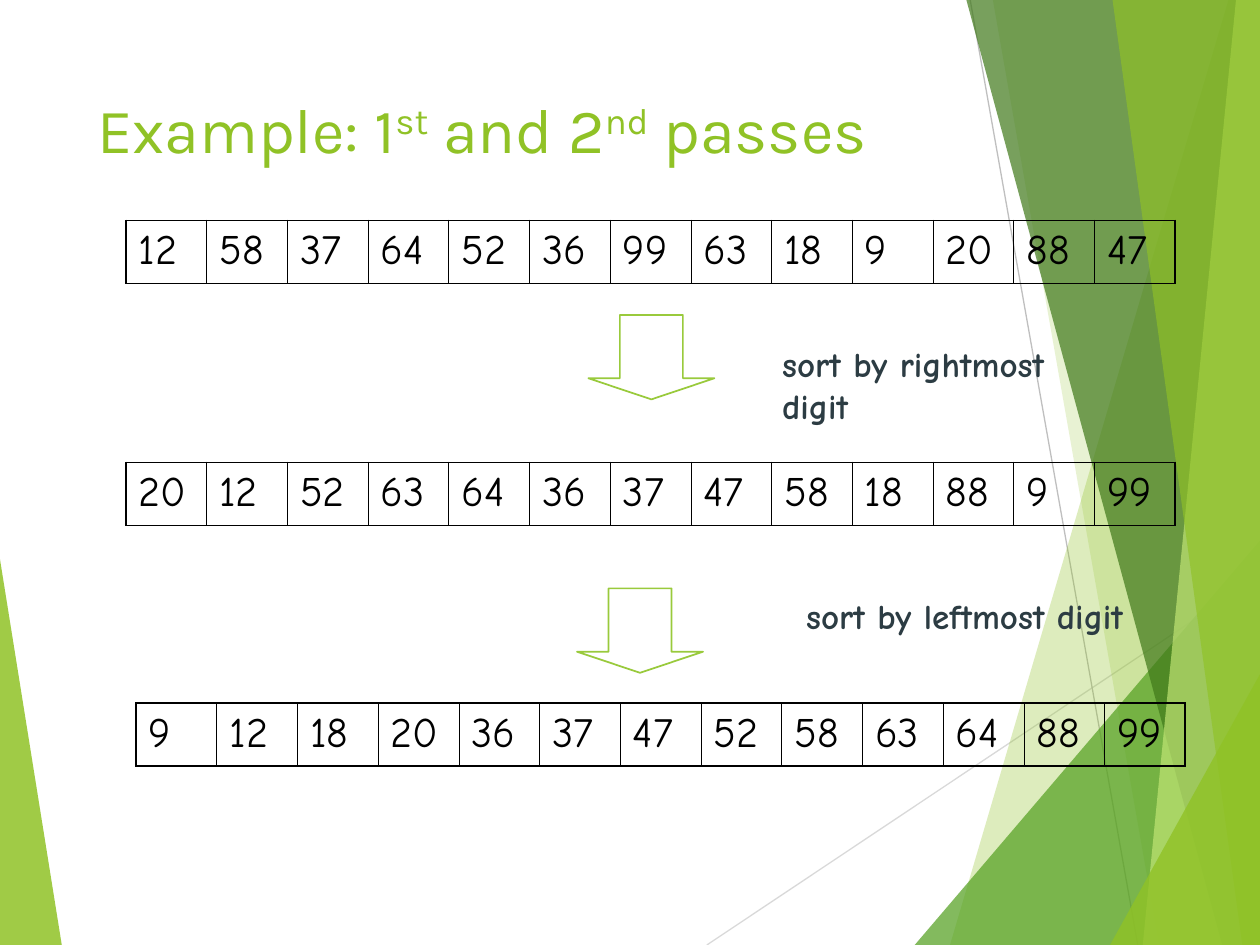
from dataclasses import dataclass
from lxml.etree import SubElement as Sub
from pptx import Presentation
from pptx.dml.color import RGBColor as RGB
from pptx.enum.shapes import MSO_CONNECTOR as Link, MSO_SHAPE as Kind
from pptx.enum.text import MSO_ANCHOR as Anchor, MSO_AUTO_SIZE as Auto, PP_ALIGN as Align
from pptx.oxml.ns import qn
from pptx.util import Inches, Pt


def tint(code):
    return RGB.from_string(code)


def apply(item, **form):
    for key, val in form.items():
        setattr(item, key, val)


def style(font, face, size, code, bold=False):
    apply(font, name=face, size=Pt(size), bold=bold)
    font.color.rgb = tint(code)


@dataclass
class Deck:
    """Hold the style and the current slide, and draw each kind of element."""
    slide: object
    head: str = "Karla"
    body: str = "Comic Neue"
    ink: str = "000000"
    note: str = "2C3C43"
    lime: str = "90C226"
    edge: str = "99CA3C"

    def facet(self, code, alpha, *spots):
        spots = [(Inches(x), Inches(y)) for x, y in spots]
        pen = self.slide.shapes.build_freeform(*spots[0], scale=1.0)
        pen.add_line_segments(spots[1:], close=True)
        shape = pen.convert_to_shape()
        shape.shadow.inherit = False
        shape.line.fill.background()
        shape.fill.solid()
        shape.fill.fore_color.rgb = tint(code)
        for clr in shape._element.spPr.iter(qn("a:srgbClr")):
            Sub(clr, qn("a:alpha"), val=str(alpha * 1000))

    def line(self, code, *ends):
        link = self.slide.shapes.add_connector(Link.STRAIGHT, *map(Inches, ends))
        link.line.color.rgb = tint(code)
        link.line.width = Pt(0.75)
        Sub(link._element.spPr, qn("a:effectLst"))

    def title(self, *parts):
        box = self.slide.shapes.title
        apply(box, left=Inches(0.67), top=Inches(0.67),
              width=Inches(6.94), height=Inches(1.44))
        apply(box.text_frame, vertical_anchor=Anchor.TOP, word_wrap=True,
              auto_size=Auto.NONE)
        para = box.text_frame.paragraphs[0]
        para.alignment = Align.LEFT
        for text, base in parts:
            run = para.add_run()
            run.text = text
            style(run.font, self.head, 36, self.lime)
            if base:
                run._r.get_or_add_rPr().set("baseline", str(base * 1000))

    def border(self, cell, side, width):
        props = cell._tc.get_or_add_tcPr()
        rule = Sub(props, qn(f"a:ln{side}"), w=str(Pt(width)))
        Sub(Sub(rule, qn("a:solidFill")), qn("a:srgbClr"), val=self.ink)

    def row(self, left, top, nums):
        grid = self.slide.shapes.add_table(
            1, len(nums), *map(Inches, (left, top, 8.33, 0.5))).table
        apply(grid, first_row=False, horz_banding=False)
        last = len(nums) - 1
        for col, num in enumerate(nums):
            cell = grid.cell(0, col)
            thick = {"L": col == 0, "R": col == last, "T": True, "B": True}
            for side, bold in thick.items():
                self.border(cell, side, 1.08 if bold else 0.45)
            cell.fill.background()
            cell.text = str(num)
            style(cell.text_frame.paragraphs[0].runs[0].font, self.body, 24, self.ink)

    def arrow(self, left, top):
        shape = self.slide.shapes.add_shape(
            Kind.DOWN_ARROW, *map(Inches, (left, top, 1, 0.67)))
        shape.shadow.inherit = False
        shape.adjustments[0], shape.adjustments[1] = 0.5, 0.25
        shape.fill.background()
        shape.line.color.rgb = tint(self.edge)
        shape.line.width = Pt(1)

    def label(self, left, top, width, text):
        box = self.slide.shapes.add_textbox(*map(Inches, (left, top, width, 0.44)))
        frame = box.text_frame
        apply(frame, text=text, word_wrap=False, auto_size=Auto.SHAPE_TO_FIT_TEXT)
        style(frame.paragraphs[0].runs[0].font, self.body, 20, self.note, True)


def main():
    show = Presentation()
    apply(show, slide_width=Inches(10), slide_height=Inches(7.5))
    deck = Deck(show.slides.add_slide(show.slide_layouts[5]))
    lime = deck.lime

    deck.facet(lime, 85, (0, 4.44), (0.49, 7.5), (0, 7.5))
    deck.line("D9D9D9", 5.61, 7.5, 10, 4.57)
    deck.line("BFBFBF", 7.7, 0, 9.03, 7.5)
    facets = [
        (lime, 30, 9.75, 0, 7.54),
        (lime, 20, 7.88, 0, 9.2),
        ("54A021", 72, 10, 4.29, 7.26),
        ("3F7819", 70, 7.67, 0, 9.7),
        ("C0E474", 70, 9.81, 0, 9.07),
        (lime, 65, 8.83, 0, 9.86),
        (lime, 80, 10, 5.35, 8.81),
    ]
    for code, alpha, peak, top, foot in facets:
        deck.facet(code, alpha, (peak, top), (foot, 7.5), (10, 7.5), (10, top))

    deck.title(("Example: 1", 0), ("st", 30), (" and 2", 0), ("nd", 30), (" passes", 0))
    start = [12, 58, 37, 64, 52, 36, 99, 63, 18, 9, 20, 88, 47]
    first = [20, 12, 52, 63, 64, 36, 37, 47, 58, 18, 88, 9, 99]
    deck.row(1, 1.75, start)
    deck.arrow(4.67, 2.5)
    deck.arrow(4.58, 4.67)
    deck.row(1, 3.67, first)
    deck.row(1.08, 5.58, sorted(first))
    deck.label(6.11, 2.67, 2.9, "sort by rightmost digit")
    deck.label(6.3, 4.67, 2.72, "sort by leftmost digit")
    show.save("out.pptx")


if __name__ == "__main__":
    main()
